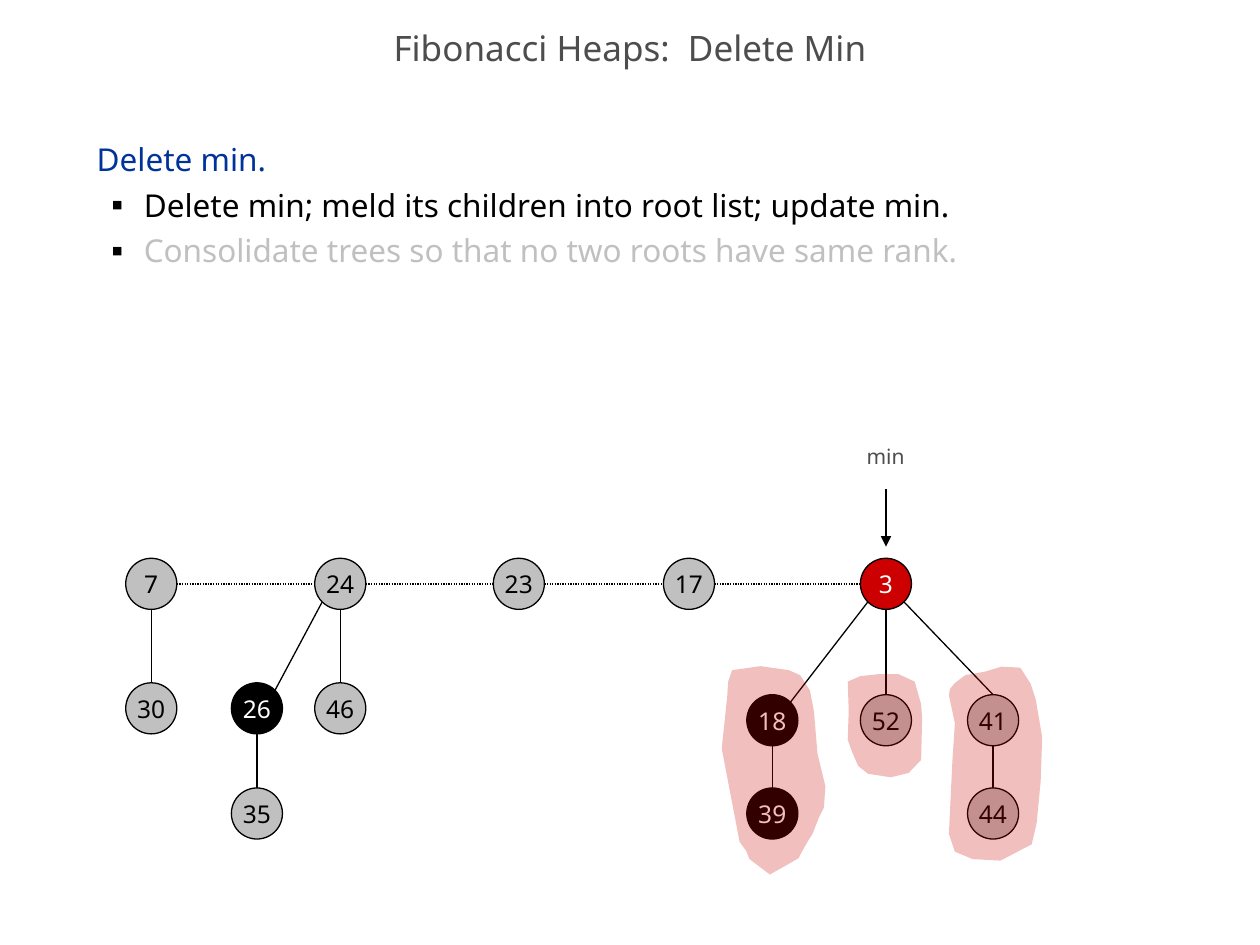
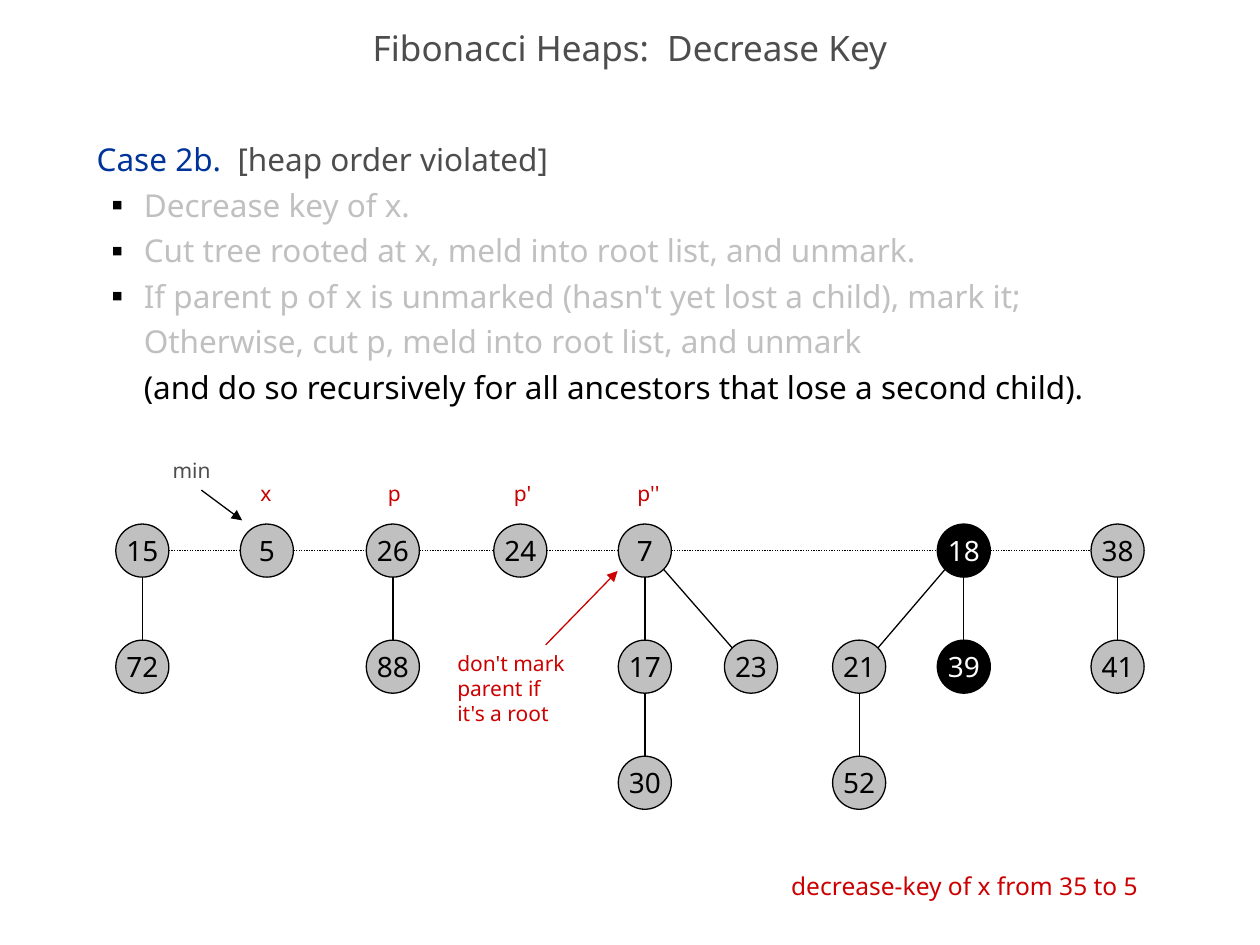
from dataclasses import dataclass
from itertools import pairwise
from math import sqrt

from pptx import Presentation
from pptx.dml.color import RGBColor
from pptx.enum.dml import MSO_LINE_DASH_STYLE as DASH
from pptx.enum.shapes import MSO_CONNECTOR_TYPE as CONNECTOR, MSO_SHAPE as SHAPE
from pptx.enum.text import MSO_ANCHOR as ANCHOR, MSO_AUTO_SIZE as AUTO, PP_ALIGN as ALIGN
from pptx.oxml.ns import qn
from pptx.util import Cm, Pt
from lxml.etree import SubElement

FONT = "Noto Sans"
COLORS = {
    "heading": "4D4D4D",
    "term": "003399",
    "text": "000000",
    "done": "C0C0C0",
    "unmarked": "C0C0C0",
    "marked": "010000",
    "accent": "CC0000",
    "inverse": "FFFFFF",
}
BOX_MARGINS = {
    "margin_left": Cm(0.25), "margin_right": Cm(0.25),
    "margin_top": Cm(0.13), "margin_bottom": Cm(0.13),
}
TITLE_FRAME = {**BOX_MARGINS, "vertical_anchor": ANCHOR.MIDDLE, "word_wrap": True}
BODY_FRAME = {**BOX_MARGINS, "vertical_anchor": ANCHOR.TOP, "word_wrap": True}
LABEL_FRAME = {**BODY_FRAME, "word_wrap": False, "auto_size": AUTO.SHAPE_TO_FIT_TEXT}
NODE_FRAME = {**dict.fromkeys(BOX_MARGINS, 0),
              "vertical_anchor": ANCHOR.MIDDLE, "word_wrap": False}
TITLE_PARAGRAPH = {"alignment": ALIGN.CENTER, "line_spacing": 0.7}
BODY_PARAGRAPH = {"alignment": ALIGN.LEFT, "line_spacing": Pt(26)}


@dataclass
class Node:
    """A heap node; x and y are its centre in cm."""
    key: int
    x: float
    y: float
    parent: int = 0
    state: str = "unmarked"
    joins_at_top: bool = False


def color(name):
    return RGBColor.from_string(COLORS[name])


def apply(target, formats):
    for attribute, value in formats.items():
        setattr(target, attribute, value)


def add_run(paragraph, text, size, tint):
    run = paragraph.add_run()
    run.text = text
    apply(run.font, {"name": FONT, "size": Pt(size)})
    run.font.color.rgb = color(tint)


def add_spans(paragraph, spans, size):
    """Write (text, colour) spans; a newline is a line break."""
    for text, tint in spans:
        for number, line in enumerate(text.split("\n")):
            if number:
                paragraph.add_line_break()
            if line:
                add_run(paragraph, line, size, tint)


def add_bullet(paragraph):
    properties = paragraph._p.get_or_add_pPr()
    properties.set("marL", str(Cm(0.95)))
    properties.set("indent", str(-Cm(0.64)))
    tint = SubElement(properties, qn("a:buClr"))
    SubElement(tint, qn("a:srgbClr"), val=COLORS["text"])
    SubElement(properties, qn("a:buSzPct"), val="35000")
    SubElement(properties, qn("a:buFont"), typeface=FONT)
    SubElement(properties, qn("a:buChar"), char="■")


def add_titled_slide(deck, heading):
    slide = deck.slides.add_slide(deck.slide_layouts[5])
    title = slide.shapes.title
    apply(title, {"left": 0, "top": Cm(0.43), "width": Cm(25.4), "height": Cm(1.27)})
    apply(title.text_frame, TITLE_FRAME)
    paragraph = title.text_frame.paragraphs[0]
    apply(paragraph, TITLE_PARAGRAPH)
    add_run(paragraph, heading, 20, "heading")
    return slide


def add_body(slide, lead, steps):
    body = slide.shapes.add_textbox(Cm(1.7), Cm(2.54), Cm(22.4), Cm(15.04))
    frame = body.text_frame
    apply(frame, BODY_FRAME)
    for number, spans in enumerate([lead, *steps]):
        paragraph = frame.add_paragraph() if number else frame.paragraphs[0]
        apply(paragraph, BODY_PARAGRAPH)
        if number:
            add_bullet(paragraph)
        add_spans(paragraph, spans, 18)


def add_label(slide, text, left, top, width, height=0.76, tint="accent", size=12):
    label = slide.shapes.add_textbox(Cm(left), Cm(top), Cm(width), Cm(height))
    apply(label.text_frame, LABEL_FRAME)
    add_spans(label.text_frame.paragraphs[0], [(text, tint)], size)


def add_line(slide, start, end, tint="text", dash=None, arrow=False):
    link = slide.shapes.add_connector(CONNECTOR.STRAIGHT, *map(Cm, (*start, *end)))
    link.line.color.rgb = color(tint)
    apply(link.line, {"width": Pt(0.75), "dash_style": dash})
    if arrow:
        SubElement(link.line._get_or_add_ln(), qn("a:tailEnd"), type="triangle")
    SubElement(link._element.spPr, qn("a:effectLst"))


def add_node(slide, node, diameter, size):
    radius = diameter / 2
    circle = slide.shapes.add_shape(
        SHAPE.OVAL, Cm(node.x - radius), Cm(node.y - radius), Cm(diameter), Cm(diameter))
    circle.shadow.inherit = False
    circle.fill.solid()
    circle.fill.fore_color.rgb = color(node.state)
    circle.line.color.rgb = color("text")
    circle.line.width = Pt(0.75)
    apply(circle.text_frame, NODE_FRAME)
    paragraph = circle.text_frame.paragraphs[0]
    paragraph.alignment = ALIGN.CENTER
    add_run(paragraph, str(node.key), size,
            "text" if node.state == "unmarked" else "inverse")


def add_tree_edge(slide, parent, child, radius):
    """Join vertically, or between the 45° points of the circles."""
    side = (child.x > parent.x) - (child.x < parent.x)
    reach = radius / sqrt(2) if side else radius
    start = (parent.x + side * reach, parent.y + reach)
    if child.joins_at_top:
        end = (child.x, child.y - radius)
    else:
        end = (child.x - side * reach, child.y - reach)
    add_line(slide, start, end)


def add_heap(slide, nodes, diameter, size):
    radius = diameter / 2
    by_key = {node.key: node for node in nodes}
    roots = [node for node in nodes if not node.parent]
    for left, right in pairwise(roots):
        add_line(slide, (left.x + radius, left.y), (right.x - radius, right.y),
                 dash=DASH.ROUND_DOT)
    for node in nodes:
        if node.parent:
            add_tree_edge(slide, by_key[node.parent], node, radius)
    for node in nodes:
        add_node(slide, node, diameter, size)


def add_highlight(slide, outline):
    points = [(Cm(x), Cm(y)) for x, y in outline]
    builder = slide.shapes.build_freeform(*points[0])
    builder.add_line_segments(points[1:], close=True)
    blob = builder.convert_to_shape()
    blob.shadow.inherit = False
    blob.fill.solid()
    blob.fill.fore_color.rgb = color("accent")
    tint = blob._element.spPr.find(qn("a:solidFill")).find(qn("a:srgbClr"))
    SubElement(tint, qn("a:alpha"), val="25000")
    blob.line.fill.background()


def build_delete_min(deck):
    slide = add_titled_slide(deck, "Fibonacci Heaps:  Delete Min")
    add_body(slide, [("Delete min.", "term")], [
        [("Delete min; meld its children into root list; update min.", "text")],
        [("Consolidate trees so that no two roots have same rank.", "done")],
    ])

    # Heap
    root_y, left_y, right_y, leaf_y = 11.77, 14.28, 14.52, 16.4
    add_heap(slide, [
        Node(7, 3.05, root_y),
        Node(30, 3.05, left_y, 7),
        Node(24, 6.86, root_y),
        Node(26, 5.18, left_y, 24, "marked"),
        Node(46, 6.86, left_y, 24),
        Node(35, 5.18, leaf_y, 26),
        Node(23, 10.46, root_y),
        Node(17, 13.89, root_y),
        Node(3, 17.86, root_y, state="accent"),
        Node(18, 15.57, right_y, 3, "marked"),
        Node(52, 17.86, right_y, 3),
        Node(41, 20.02, right_y, 3, joins_at_top=True),
        Node(39, 15.57, leaf_y, 18, "marked"),
        Node(44, 20.02, leaf_y, 41),
    ], diameter=1.03, size=14)

    # Pointer to the minimum
    add_label(slide, "min", 17.22, 8.81, 1.3, tint="heading")
    add_line(slide, (17.86, 9.86), (17.86, 11.02), arrow=True)

    # Subtrees to be melded
    subtree_18 = [
        (14.76, 13.51), (15.33, 13.43), (15.9, 13.51), (16.13, 13.61), (16.33, 13.92),
        (16.41, 14.35), (16.48, 15.19), (16.64, 15.85), (16.61, 16.28), (16.51, 16.48),
        (16.38, 16.81), (16.28, 16.97), (16.15, 17.2), (16.1, 17.3), (15.93, 17.4),
        (15.52, 17.63), (15.11, 17.32), (15.04, 17.15), (14.91, 16.97), (14.73, 16.03),
        (14.55, 15.09), (14.66, 14.05), (14.68, 13.74),
    ]
    subtree_52 = [
        (17.09, 13.74), (17.35, 13.63), (17.73, 13.59), (18.11, 13.59), (18.44, 13.74),
        (18.57, 14.2), (18.59, 14.48), (18.57, 15.32), (18.32, 15.58), (17.96, 15.67),
        (17.5, 15.6), (17.3, 15.44), (17.17, 15.14), (17.09, 14.91), (17.11, 14.33),
    ]
    subtree_41 = [
        (19.15, 13.89), (19.25, 13.77), (19.46, 13.61), (19.86, 13.54), (20.19, 13.44),
        (20.57, 13.46), (20.78, 13.79), (20.88, 14.1), (21.01, 14.86), (20.98, 15.75),
        (20.9, 16.59), (20.8, 17.02), (20.17, 17.35), (19.61, 17.32), (19.25, 17.17),
        (19.13, 16.81), (19.2, 15.34), (19.25, 14.58), (19.13, 14.02),
    ]
    for outline in (subtree_18, subtree_52, subtree_41):
        add_highlight(slide, outline)


def build_decrease_key(deck):
    slide = add_titled_slide(deck, "Fibonacci Heaps:  Decrease Key")
    add_body(slide, [("Case 2b.  ", "term"), ("[heap order violated]", "heading")], [
        [("Decrease key of x.", "done")],
        [("Cut tree rooted at x, meld into root list, and unmark.", "done")],
        [("If parent p of x is unmarked (hasn't yet lost a child), mark it;\n"
          "Otherwise, cut p, meld into root list, and unmark\n", "done"),
         ("(and do so recursively for all ancestors that lose a second child).", "text")],
    ])

    # Heap
    root_y, child_y, leaf_y = (11.1 + 2.34 * depth for depth in range(3))
    add_heap(slide, [
        Node(15, 2.87, root_y),
        Node(72, 2.87, child_y, 15),
        Node(5, 5.38, root_y),
        Node(26, 7.92, root_y),
        Node(88, 7.92, child_y, 26),
        Node(24, 10.49, root_y),
        Node(7, 13, root_y),
        Node(17, 13, child_y, 7),
        Node(23, 15.14, child_y, 7),
        Node(30, 13, leaf_y, 17),
        Node(18, 19.43, root_y, state="marked"),
        Node(21, 17.32, child_y, 18),
        Node(39, 19.43, child_y, 18, "marked"),
        Node(52, 17.32, leaf_y, 21),
        Node(38, 22.53, root_y),
        Node(41, 22.53, child_y, 38),
    ], diameter=1.07, size=16)

    # Names of the cut nodes
    for name, left, width in (("x", 5, 0.74), ("p", 7.57, 0.76),
                              ("p'", 10.11, 0.86), ("p''", 12.6, 0.97)):
        add_label(slide, name, left, 9.55, width)

    # Pointers and remarks
    add_label(slide, "min", 3.23, 9.09, 1.3, tint="heading")
    add_line(slide, (4.06, 9.88), (4.88, 10.49), arrow=True)
    add_label(slide, "don't mark\nparent if\nit's a root", 8.97, 12.98, 2.74, 1.78)
    add_line(slide, (11, 13), (12.45, 11.51), tint="accent", arrow=True)
    add_label(slide, "decrease-key of x from 35 to 5", 15.7, 17.42, 7.85, 0.84, size=14)


def main():
    deck = Presentation()
    apply(deck, {"slide_width": Cm(25.4), "slide_height": Cm(19.05)})
    build_delete_min(deck)
    build_decrease_key(deck)
    deck.save("out.pptx")


if __name__ == "__main__":
    main()
